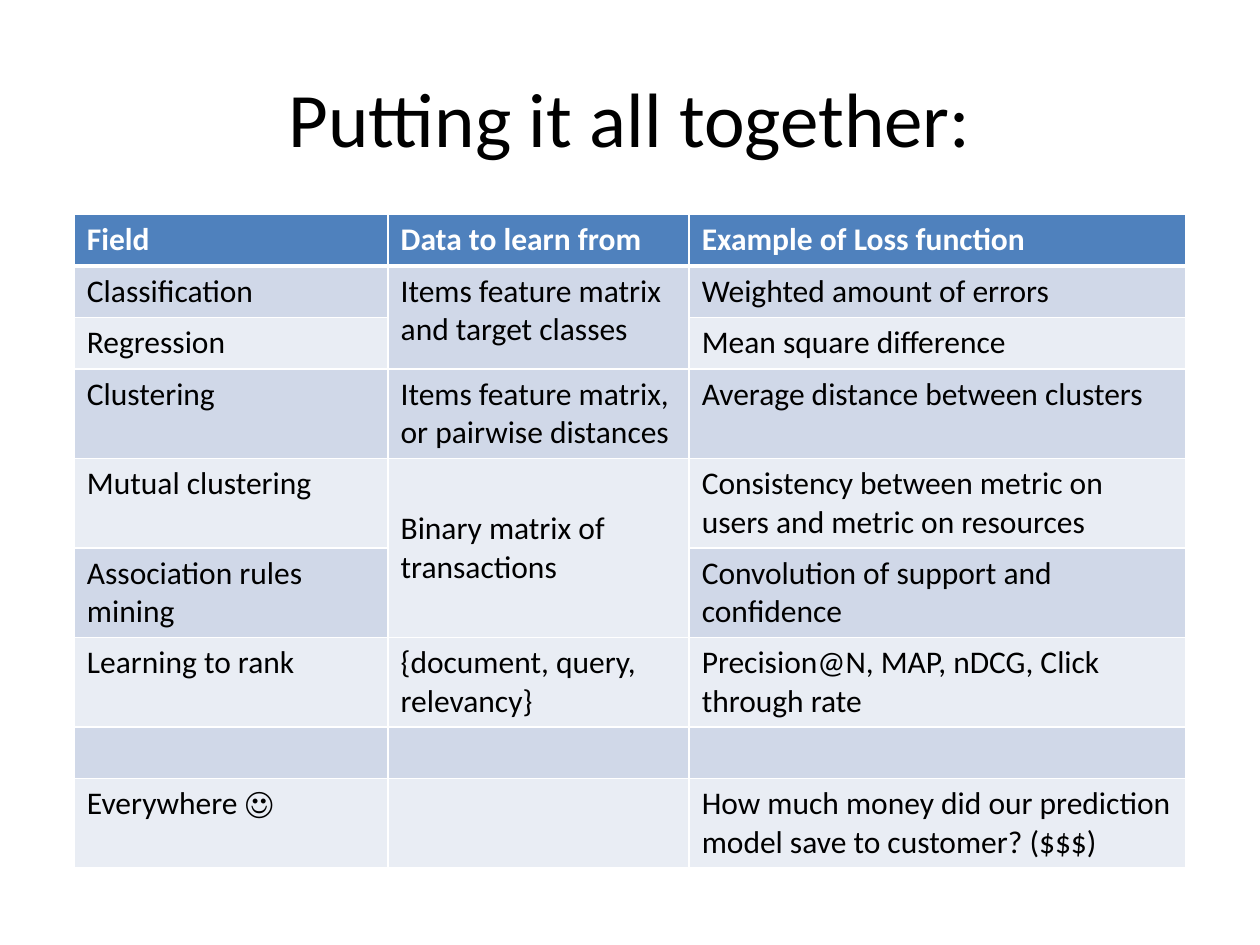
from typing import NamedTuple

from lxml.etree import SubElement
from pptx import Presentation
from pptx.dml.color import RGBColor
from pptx.enum.text import MSO_ANCHOR, PP_ALIGN
from pptx.oxml.ns import qn
from pptx.util import Inches, Pt

FONT = "Calibri"
COLORS = {
    "text": "000000",
    "white": "FFFFFF",
    "header": "4F81BD",
    "odd": "D0D8E8",
    "even": "E9EDF4",
}
COLUMN_WIDTHS = (2.49, 2.39, 3.94)
LINE_HEIGHTS = {1: 0.41, 2: 0.71}


class Task(NamedTuple):
    field: str
    data: str
    loss: str
    lines: int = 1


class Merge(NamedTuple):
    first_row: int
    last_row: int
    anchor: MSO_ANCHOR


TASKS = [
    Task("Field", "Data to learn from", "Example of Loss function"),
    Task("Classification", "Items feature matrix and target classes",
         "Weighted amount of errors"),
    Task("Regression", "", "Mean square difference"),
    Task("Clustering", "Items feature matrix, or pairwise distances",
         "Average distance between clusters", 2),
    Task("Mutual clustering", "Binary matrix of transactions",
         "Consistency between metric on users and metric on resources", 2),
    Task("Association rules mining", "",
         "Convolution of support and confidence", 2),
    Task("Learning to rank", "{document, query, relevancy}",
         "Precision@N, MAP, nDCG, Click through rate", 2),
    Task("", "", ""),
    Task("Everywhere ☺", "",
         "How much money did our prediction model save to customer? ($$$)", 2),
]
DATA_COLUMN = 1
MERGES = [Merge(1, 2, MSO_ANCHOR.TOP), Merge(4, 5, MSO_ANCHOR.MIDDLE)]


def add_run(paragraph, text: str, size: float, color: str, bold: bool = False) -> None:
    run = paragraph.add_run()
    run.text = text
    run.font.name = FONT
    run.font.size = Pt(size)
    run.font.bold = bold
    run.font.color.rgb = RGBColor.from_string(COLORS[color])


def add_borders(cell, row: int) -> None:
    """White grid lines, with a thicker one under the header."""
    widths = {"L": 1, "R": 1, "T": 3 if row == 1 else 1, "B": 3 if row == 0 else 1}
    properties = cell._tc.get_or_add_tcPr()
    for side, width in widths.items():
        line = SubElement(properties, qn(f"a:ln{side}"), w=str(Pt(width)))
        fill = SubElement(line, qn("a:solidFill"))
        SubElement(fill, qn("a:srgbClr"), val=COLORS["white"])


def fill_cell(cell, row: int, text: str) -> None:
    is_header = row == 0
    band = "header" if is_header else "odd" if row % 2 else "even"
    add_borders(cell, row)
    cell.fill.solid()
    cell.fill.fore_color.rgb = RGBColor.from_string(COLORS[band])
    paragraph = cell.text_frame.paragraphs[0]
    if text:
        add_run(paragraph, text, 18, "white" if is_header else "text", is_header)
    else:
        paragraph.font.size = Pt(18)


def add_title(slide, text: str) -> None:
    title = slide.shapes.add_textbox(Inches(0.5), Inches(0.3), Inches(9), Inches(1.25))
    frame = title.text_frame
    frame.word_wrap = True
    frame.vertical_anchor = MSO_ANCHOR.MIDDLE
    frame.paragraphs[0].alignment = PP_ALIGN.CENTER
    add_run(frame.paragraphs[0], text, 44, "text")


def add_task_table(slide, tasks: list[Task], merges: list[Merge]) -> None:
    heights = [LINE_HEIGHTS[task.lines] for task in tasks]
    table = slide.shapes.add_table(
        len(tasks), len(COLUMN_WIDTHS), Inches(0.59), Inches(1.7),
        Inches(sum(COLUMN_WIDTHS)), Inches(sum(heights))).table
    for column, width in zip(table.columns, COLUMN_WIDTHS):
        column.width = Inches(width)
    for row, (task, height) in enumerate(zip(tasks, heights)):
        table.rows[row].height = Inches(height)
        for column, text in enumerate((task.field, task.data, task.loss)):
            fill_cell(table.cell(row, column), row, text)
    # Data shared by two neighbouring fields
    for merge in merges:
        shared = table.cell(merge.first_row, DATA_COLUMN)
        shared.merge(table.cell(merge.last_row, DATA_COLUMN))
        shared.vertical_anchor = merge.anchor


def main() -> None:
    presentation = Presentation()
    presentation.slide_width = Inches(10)
    presentation.slide_height = Inches(7.5)
    slide = presentation.slides.add_slide(presentation.slide_layouts[6])
    add_title(slide, "Putting it all together:")
    add_task_table(slide, TASKS, MERGES)
    presentation.save("out.pptx")


if __name__ == "__main__":
    main()
